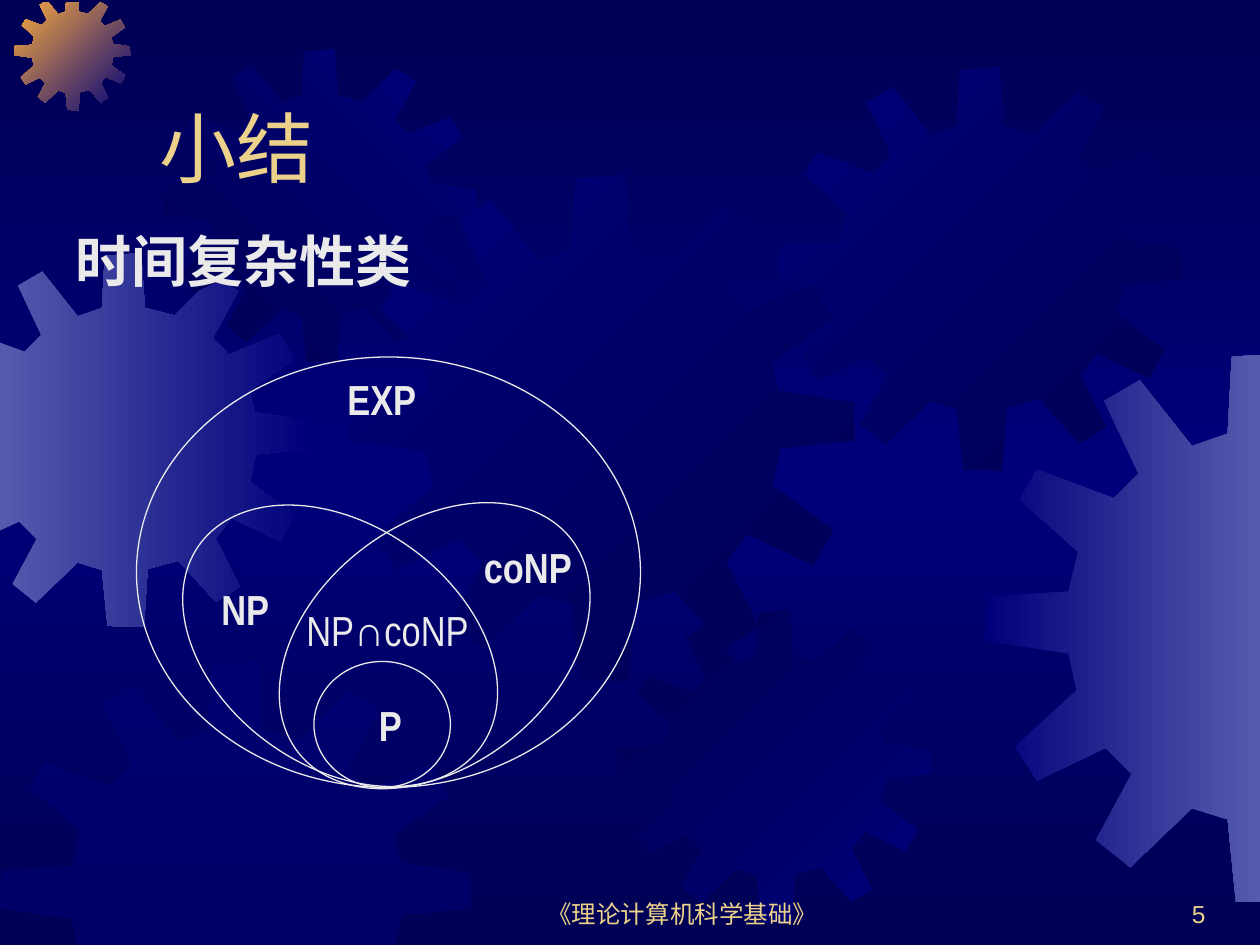
from copy import deepcopy

from pptx import Presentation
from pptx.dml.color import RGBColor
from pptx.enum.shapes import MSO_SHAPE as Preset
from pptx.enum.text import MSO_ANCHOR as Anchor, MSO_AUTO_SIZE as AutoSize, PP_ALIGN as Align
from pptx.oxml.ns import qn
from pptx.oxml.xmlchemy import OxmlElement
from pptx.util import Inches, Pt

# The slide is a grid of 120 columns by 90 rows of square cells
COLUMNS, ROWS = 120, 90
CELL = Inches(10) / COLUMNS

NIGHT, NAVY, MIST, ORANGE = "000054", "00007A", "555BAD", "FCAB40"
GOLD, PALE = "EBD189", "EAEAEA"

# Twelve-toothed outline inside a square of GEAR_SIZE units
GEAR_SIZE = 401
GEAR = [
    (255, 67), (223, 59), (219, 0), (180, 3), (177, 59), (151, 68), (113, 20), (87, 35),
    (112, 88), (94, 106), (38, 85), (25, 107), (68, 145), (61, 174), (1, 178), (0, 210),
    (61, 219), (67, 246), (22, 287), (38, 312), (88, 288), (107, 307), (81, 355), (106, 375),
    (151, 332), (177, 340), (183, 400), (222, 401), (226, 339), (259, 330), (299, 374), (325, 358),
    (299, 306), (316, 284), (368, 309), (384, 281), (336, 246), (342, 216), (401, 210), (400, 180),
    (341, 171), (335, 148), (383, 114), (367, 87), (313, 109), (296, 91), (323, 41), (297, 25),
]

# Left, top and size in cells, colours, clockwise gradient angle
GEARS = [
    (-6, 24.1, 35.6, (MIST, NAVY), 0),
    (1.4, -0.5, 11, (ORANGE, NAVY), 45),
    (15.6, 4.7, 29.8, (NIGHT, NAVY), 315),
    (33.2, 16.7, 48.2, (NAVY, NIGHT), 45),
    (0, 63, 44.9, (NAVY,), 0),
    (58.9, 58.1, 29.8, (NIGHT, NAVY), 45),
    (74.2, 6.4, 38.4, (NAVY, NIGHT), 45),
    (93.8, 33.6, 52.4, (NAVY, MIST), 0),
]


def color(value):
    return RGBColor.from_string(value)


def cells(*lengths):
    return [round(length * CELL) for length in lengths]


def within(region, box):
    """Place a box given relative to its region."""
    return cells(region[0] + box[0], region[1] + box[1], *box[2:])


def paint_gradient(fill, colors, angle):
    fill.gradient()
    fill.gradient_angle = -angle % 360
    for stop, value in zip(fill.gradient_stops, colors):
        stop.color.rgb = color(value)


def paint_background(slide):
    fill = slide.background.fill
    paint_gradient(fill, (NIGHT, NIGHT), 90)
    first = next(slide.element.iter(qn("a:gs")))
    first.addnext(deepcopy(first))
    middle = fill.gradient_stops[1]
    middle.position = 0.5
    middle.color.rgb = color(NAVY)


def clip(points, axis, limit, sign):
    """Keep the part of a polygon on one side of a line across an axis."""
    kept = []
    for start, end in zip(points[-1:] + points[:-1], points):
        before, after = (sign * (point[axis] - limit) for point in (start, end))
        if (before < 0) != (after < 0):
            share = before / (before - after)
            kept.append(tuple(a + share * (b - a) for a, b in zip(start, end)))
        if after >= 0:
            kept.append(end)
    return kept


def draw_gear(shapes, left, top, size, colors, angle):
    scale = size / GEAR_SIZE
    points = [(left + x * scale, top + y * scale) for x, y in GEAR]
    for edge in ((0, 0, 1), (0, COLUMNS, -1), (1, 0.2, 1), (1, ROWS, -1)):
        points = clip(points, *edge)
    points = [cells(*point) for point in points]
    builder = shapes.build_freeform(*points[0])
    builder.add_line_segments(points[1:], close=True)
    gear = builder.convert_to_shape()
    gear.shadow.inherit = False
    gear.line.fill.background()
    if len(colors) > 1:
        paint_gradient(gear.fill, colors, angle)
    else:
        gear.fill.solid()
        gear.fill.fore_color.rgb = color(colors[0])
        alpha = OxmlElement("a:alpha")
        alpha.set("val", "50000")
        next(gear.element.iter(qn("a:srgbClr"))).append(alpha)


def write(shape, text, size, ink, font="Arial", bold=False, align=Align.LEFT, anchor=Anchor.TOP):
    """Fill a shape with one paragraph; the intersection sign is set in Arial."""
    frame = shape.text_frame
    frame.word_wrap = True
    frame.auto_size = AutoSize.NONE
    frame.vertical_anchor = anchor
    para = frame.paragraphs[0]
    para.alignment = align
    head, sign, tail = text.partition("∩")
    for part in filter(None, (head, sign, tail)):
        span = para.add_run()
        span.text = part
        span.font.name = "Arial" if part == "∩" else font
        span.font.size = Pt(size)
        span.font.bold = bold
        span.font.color.rgb = color(ink)


def draw_heading(slide, region):
    title = slide.shapes.title
    title.left, title.top, title.width, title.height = within(region, (8, 0, 102, 15))
    write(title, "小结", 44, GOLD, anchor=Anchor.BOTTOM)
    slide.shapes.element.append(title.element)  # in front of the gears
    topic = slide.shapes.add_textbox(*within(region, (0, 17, 108, 13.2)))
    write(topic, "时间复杂性类", 32, PALE, bold=True)


def draw_classes(slide, region):
    shapes = slide.shapes.add_group_shape().shapes
    # Nested sets
    for box, turn in (
        ((7.9, 11, 23, 33), 305.6),
        ((16.9, 11, 23, 33), 51.9),
        ((16.9, 29, 13, 12), 0),
        ((0, 0, 48, 41), 0),
    ):
        ellipse = shapes.add_shape(Preset.OVAL, *within(region, box))
        ellipse.rotation = turn
        ellipse.shadow.inherit = False
        ellipse.fill.background()
        ellipse.line.color.rgb = color(PALE)
        ellipse.line.width = Pt(0.75)
    # Names of the sets
    for text, left, top, width in (
        ("P", 21.9, 32, 7),
        ("NP", 6.9, 21, 9),
        ("coNP", 31.9, 17, 13),
        ("NP∩coNP", 15, 23, 19),
        ("EXP", 18.9, 1, 9),
    ):
        label = shapes.add_textbox(*within(region, (left, top, width, 6)))
        write(label, text, 24, PALE, "Arial Narrow", bold="∩" not in text)


def draw_footer(slide, region):
    for text, left, width, align in (
        ("《理论计算机科学基础》", 0, 38, Align.CENTER),
        ("5", 45, 25, Align.RIGHT),
    ):
        box = slide.shapes.add_textbox(*within(region, (left, 0, width, region[3])))
        write(box, text, 14, GOLD, align=align, anchor=Anchor.BOTTOM)


def main():
    deck = Presentation()
    deck.slide_width, deck.slide_height = cells(COLUMNS, ROWS)
    page = deck.slides.add_slide(deck.slide_layouts[5])
    paint_background(page)
    for gear in GEARS:
        draw_gear(page.shapes, *gear)
    draw_footer(page, (46, 83, 70, 6))
    draw_heading(page, (6, 4, 110, 30))
    draw_classes(page, (13, 34, 48, 41))
    deck.save("out.pptx")


if __name__ == "__main__":
    main()
